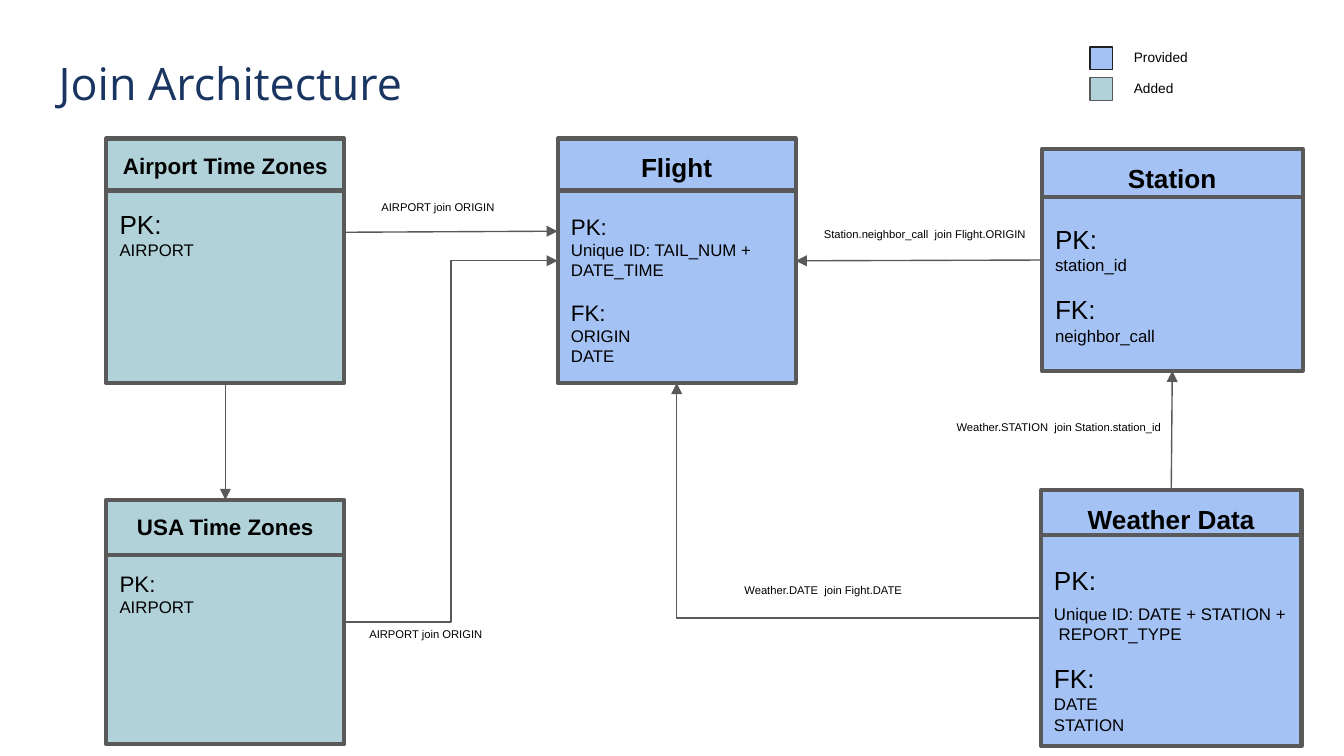
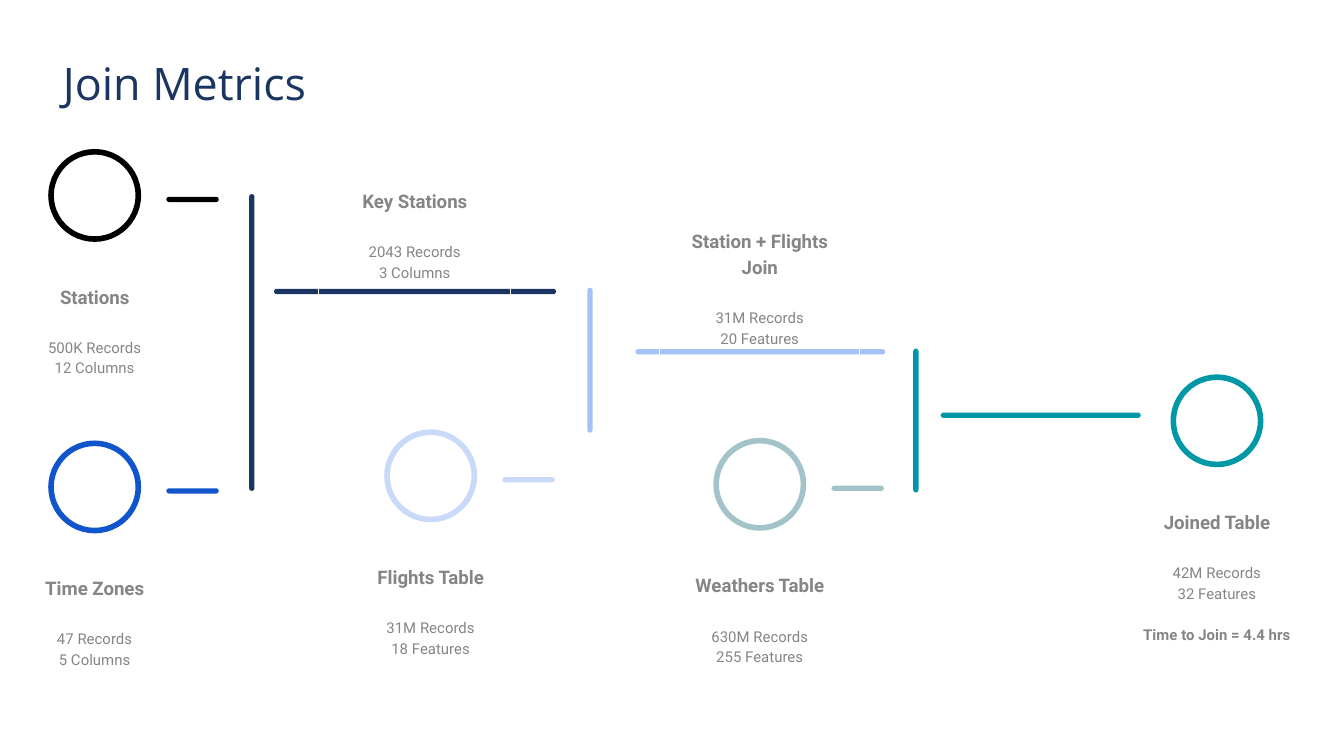
import pptx
import pptx.util
import pptx.dml.color
import pptx.enum.shapes
import pptx.enum.text
import pptx.oxml
import pptx.oxml.ns
from pptx.util import Cm, Pt

NAVY, INK, GREY, WHITE = "1A3561", "000000", "595959", "FFFFFF"
PROVIDED, ADDED = "A4C2F4", "B2D2DA"
CAPTION, TEAL = "858585", "0097A7"

SHAPE = pptx.enum.shapes.MSO_SHAPE
CONNECTOR = pptx.enum.shapes.MSO_CONNECTOR
ALIGN = pptx.enum.text.PP_ALIGN
ANCHOR = pptx.enum.text.MSO_ANCHOR
TOP, LEFT, BOTTOM, RIGHT = range(4)  # connection sites of a rectangle

# ---- Join Architecture: text lines are (text, size, space before) ----
TABLES = {
    "Airport Time Zones": dict(
        box=(2.01, 2.62, 4.5, 4.62), header=0.98, fill=ADDED, size=12,
        lines=[("PK:", 14, 16), ("AIRPORT", 9, 0)]),
    "USA Time Zones": dict(
        box=(2.01, 9.45, 4.5, 4.62), header=1.04, fill=ADDED, size=12,
        lines=[("PK:", 12, 16), ("AIRPORT", 9, 0)]),
    "Flight": dict(
        box=(10.54, 2.62, 4.5, 4.62), header=0.98, fill=PROVIDED, size=14,
        lines=[("PK:", 12, 16), ("Unique ID: TAIL_NUM + DATE_TIME", 9, 0),
               ("FK:", 12, 10), ("ORIGIN", 9, 0), ("DATE", 9, 0)]),
    "Station": dict(
        box=(19.69, 2.82, 4.93, 4.19), header=0.9, fill=PROVIDED, size=14,
        lines=[("PK:", 14, 16), ("station_id", 9, 0),
               ("FK:", 14, 10), ("neighbor_call", 9, 0)]),
    "Weather Data": dict(
        box=(19.67, 9.27, 4.93, 4.83), header=0.85, fill=PROVIDED, size=14,
        lines=[("PK:", 14, 16), ("Unique ID: DATE + STATION +  REPORT_TYPE", 9, 4),
               ("FK:", 14, 10), ("DATE", 9, 0), ("STATION", 9, 0)]),
}
JOINS = [  # from table, site, to table, site, preset
    ("Airport Time Zones", BOTTOM, "USA Time Zones", TOP, "line"),
    ("USA Time Zones", RIGHT, "Flight", LEFT, "bentConnector3"),
    ("Weather Data", LEFT, "Flight", BOTTOM, "bentConnector2"),
    ("Weather Data", TOP, "Station", BOTTOM, "line"),
    ("Station", LEFT, "Flight", RIGHT, "line"),
]
AIRPORT_TO_FLIGHT = (6.51, 4.39, 10.54, 4.37)
JOIN_LABELS = [
    ("AIRPORT join ORIGIN", 6.96, 3.66, 2.77),
    ("AIRPORT join ORIGIN", 6.73, 11.73, 2.77),
    ("Weather.DATE  join Fight.DATE", 13.82, 10.9, 4.52),
    ("Weather.STATION  join Station.station_id", 17.83, 7.82, 4.52),
    ("Station.neighbor_call  join Flight.ORIGIN", 15.32, 4.17, 4.52),
]
LEGEND = [("Provided", PROVIDED, "212121"), ("Added", ADDED, GREY)]

# ---- Join Metrics ----
METRICS = [  # heading, figures, centre x, heading top, width, ring colour, has dash
    ("Stations", "500K Records\v12 Columns", 1.79, 4.83, 3.63, INK, True),
    ("Time Zones", "47 Records\v5 Columns", 1.79, 10.34, 3.63, "1155CC", True),
    ("Key Stations", "2043 Records\v3 Columns", 7.84, 3.02, 3.63, None, False),
    ("Flights Table", "31M Records\v18 Features", 8.14, 10.13, 3.78, "C9DAF8", True),
    ("Station + Flights Join", "31M Records\v20 Features", 14.36, 4.27, 3.78, None, False),
    ("Weathers Table", "630M Records\v255 Features", 14.36, 10.29, 3.78, "A2C4C9", True),
    ("Joined Table", "42M Records\v32 Features", 23, 9.09, 3.78, TEAL, False),
]
JOIN_TIME = {"Joined Table": "Time to Join = 4.4 hrs"}
BAR = 0.1
BRACKETS = [  # left, top, width, height, colour
    (4.71, 3.67, BAR, 5.61, NAVY), (5.18, 5.46, 5.33, BAR, NAVY),
    (11.1, 5.44, BAR, 2.74, PROVIDED), (12.01, 6.6, 4.72, BAR, PROVIDED),
    (17.26, 6.59, BAR, 2.72, TEAL), (17.78, 7.8, 3.78, BAR, TEAL),
]


def rgb(value):
    return pptx.dml.color.RGBColor.from_string(value)


def write(shape, text, size, color=INK, font="Arial", bold=False, align=ALIGN.LEFT,
          anchor=ANCHOR.TOP, spacing=None, before=0, after=0, more=False):
    """Fill the shape with one paragraph, or add one below when more is set."""
    frame = shape.text_frame
    if more:
        paragraph = frame.add_paragraph()
    else:
        paragraph = frame.paragraphs[0]
        frame.word_wrap = True
        frame.vertical_anchor = anchor
        frame.margin_left = frame.margin_right = Cm(0.25)
        frame.margin_top = frame.margin_bottom = Cm(0.25)
    paragraph.text = text
    paragraph.alignment = align
    paragraph.space_before, paragraph.space_after = Pt(before), Pt(after)
    if spacing:
        paragraph.line_spacing = spacing
    paragraph.font.name, paragraph.font.size = font, Pt(size)
    paragraph.font.bold = bold
    paragraph.font.color.rgb = rgb(color)


def add_box(slide, kind, box, fill=None, line=None, width=0.75):
    shape = slide.shapes.add_shape(kind, *map(Cm, box))
    shape.shadow.inherit = False
    if fill:
        shape.fill.solid()
        shape.fill.fore_color.rgb = rgb(fill)
    else:
        shape.fill.background()
    if line:
        shape.line.color.rgb = rgb(line)
        shape.line.width = Pt(width)
    else:
        shape.line.fill.background()
    return shape


def add_text(slide, box, text, size, **style):
    write(slide.shapes.add_textbox(*map(Cm, box)), text, size, **style)


def add_line(slide, ends=(0, 0, 0, 0), preset="line", width=0.75, arrow=True):
    kind = CONNECTOR.STRAIGHT if preset == "line" else CONNECTOR.ELBOW
    line = slide.shapes.add_connector(kind, *map(Cm, ends))
    line.line.color.rgb = rgb(GREY)
    line.line.width = Pt(width)
    properties = line._element.spPr
    properties.find(pptx.oxml.ns.qn("a:prstGeom")).set("prst", preset)
    namespace = pptx.oxml.ns.nsdecls("a")
    if arrow:
        line.line._get_or_add_ln().append(
            pptx.oxml.parse_xml(f'<a:tailEnd {namespace} type="triangle"/>'))
    properties.append(pptx.oxml.parse_xml(f"<a:effectLst {namespace}/>"))
    return line


def add_bar(slide, left, top, width, height, color):
    bar = add_box(slide, SHAPE.ROUNDED_RECTANGLE, (left, top, width, height), color)
    bar.adjustments[0] = 0.5


def add_titled_slide(deck, title, left):
    slide = deck.slides.add_slide(deck.slide_layouts[6])
    add_text(slide, (left, 0.8, 8.46, 2.39), title, 24, color=NAVY, font="Open Sans")
    return slide


def add_table_card(slide, name, box, header, fill, size, lines):
    left, top, width, _ = box
    card = add_box(slide, SHAPE.RECTANGLE, box, fill, GREY, 2.25)
    write(card, name, size, bold=True, align=ALIGN.CENTER)
    for text, line_size, before in lines:
        write(card, text, line_size, before=before, more=True)
    add_line(slide, (left, top + header, left + width, top + header), width=2.25, arrow=False)
    return card


def build_architecture(deck):
    slide = add_titled_slide(deck, "Join Architecture", 0.86)
    cards = {name: add_table_card(slide, name, **table) for name, table in TABLES.items()}
    for source, source_site, target, target_site, preset in JOINS:
        join = add_line(slide, preset=preset)
        join.begin_connect(cards[source], source_site)
        join.end_connect(cards[target], target_site)
    add_line(slide, AIRPORT_TO_FLIGHT)
    for text, left, top, width in JOIN_LABELS:
        add_text(slide, (left, top, width, 0.76), text, 6)
    for row, (text, fill, line) in enumerate(LEGEND):
        top = 0.89 + row * 0.58
        add_box(slide, SHAPE.RECTANGLE, (20.6, top, 0.43, 0.43), fill, line)
        add_text(slide, (21.18, top - 0.1, 2.11, 0.64), text, 7.3,
                 anchor=ANCHOR.MIDDLE, spacing=0.8)


def build_metrics(deck):
    slide = add_titled_slide(deck, "Join Metrics", 0.94)
    for bracket in BRACKETS:
        add_bar(slide, *bracket)
    style = dict(color=CAPTION, font="Roboto", align=ALIGN.CENTER, spacing=1.15)
    ring_size = 1.65
    for heading, figures, center, top, width, color, dashed in METRICS:
        if color:
            ring_left, ring_top = center - ring_size / 2, top - 1.96
            add_box(slide, SHAPE.OVAL, (ring_left, ring_top, ring_size, ring_size),
                    line=color, width=3)
            if dashed:
                add_bar(slide, ring_left + 2.18, ring_top + 0.85, 0.99, BAR, color)
        left = center - width / 2
        heading_box = add_box(slide, SHAPE.RECTANGLE, (left, top, width, 1.24), line=WHITE)
        write(heading_box, heading, 10, bold=True, anchor=ANCHOR.BOTTOM, **style)
        figures_box = add_box(slide, SHAPE.RECTANGLE, (left, top + 1.27, width, 2.06), line=WHITE)
        write(figures_box, figures, 8, **style)
        if heading in JOIN_TIME:
            write(figures_box, JOIN_TIME[heading], 8, bold=True, before=11, more=True, **style)


def main():
    deck = pptx.Presentation()
    deck.slide_width, deck.slide_height = Cm(25.4), Cm(14.29)
    build_architecture(deck)
    build_metrics(deck)
    deck.save("out.pptx")


if __name__ == "__main__":
    main()
